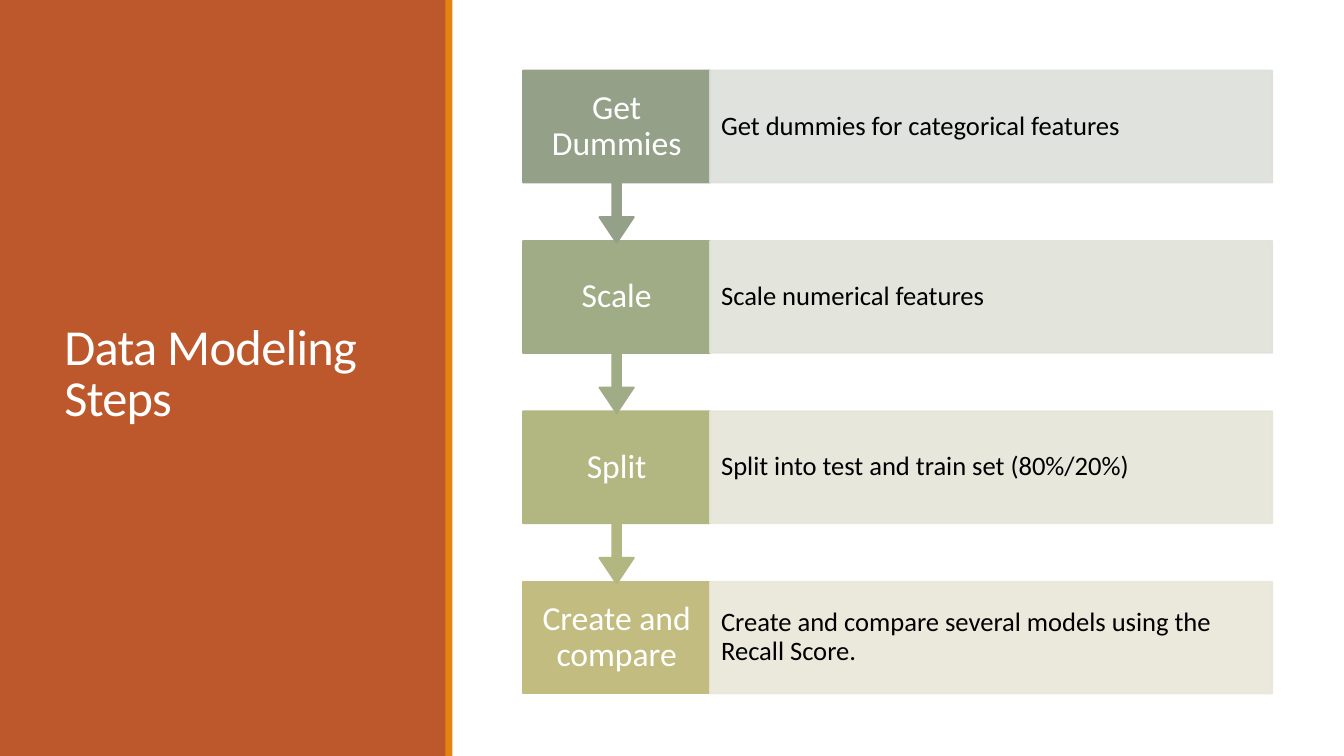
from dataclasses import dataclass

from lxml.etree import SubElement
from pptx import Presentation
from pptx.dml.color import RGBColor
from pptx.enum.shapes import MSO_SHAPE as Shp
from pptx.enum.text import MSO_ANCHOR as Anchor, PP_ALIGN as Align
from pptx.oxml.ns import qn
from pptx.util import Pt

COLORS = {
    "white": "FFFFFF", "black": "000000", "panel": "BD582C", "accent": "E48312",
    "sage": "94A088", "sage_tint": "DCDFDA",
    "moss": "A0AC85", "moss_tint": "E0E3D9",
    "olive": "B2B782", "olive_tint": "E5E6D8",
    "sand": "C2BC80", "sand_tint": "E9E7D8",
}
FONT = "Calibri"
SLIDE_W, SLIDE_H = 960, 540
LABEL_X, LABEL_W = 373.6, 133.8
DETAIL_X, DETAIL_W = 507.2, 401.6
FIRST_Y, PITCH = 50.4, 121.7
BOX_H, CALLOUT_H = 80, 123.1
CALLOUT_ADJ = (0.05, 0.1, 0.15, 0.65)


@dataclass(frozen=True)
class Step:
    label: str
    detail: str
    color: str


@dataclass(frozen=True)
class TextStyle:
    size: float
    color: str
    align: Align
    spacing: float
    inset_x: float
    inset_y: float


STEPS = [
    Step("Get Dummies", "Get dummies for categorical features", "sage"),
    Step("Scale", "Scale numerical features", "moss"),
    Step("Split", "Split into test and train set (80%/20%)", "olive"),
    Step("Create and compare",
         "Create and compare several models using the Recall Score.", "sand"),
]
TITLE = TextStyle(36, "white", Align.LEFT, 0.85, 7.2, 3.6)
LABEL = TextStyle(24, "white", Align.CENTER, 0.9, 9.4, 13.7)
DETAIL = TextStyle(19, "black", Align.LEFT, 0.9, 7.9, 18.7)


def rgb(name: str) -> RGBColor:
    return RGBColor.from_string(COLORS[name])


def add_block(slide, kind: Shp, x: float, y: float, w: float, h: float,
              color: str, outlined: bool = False, opacity: int = 100):
    sp = slide.shapes.add_shape(kind, Pt(x), Pt(y), Pt(w), Pt(h))
    sp.shadow.inherit = False
    sp.fill.solid()
    sp.fill.fore_color.rgb = rgb(color)
    if outlined:
        sp.line.width = Pt(1.25)
        sp.line.color.rgb = rgb(color)
    else:
        sp.line.fill.background()
    if opacity < 100:
        for clr in sp._element.spPr.iter(qn("a:srgbClr")):
            SubElement(clr, qn("a:alpha")).set("val", str(opacity * 1000))
    return sp


def write(sp, text: str, style: TextStyle):
    tf = sp.text_frame
    tf.word_wrap = True
    tf.vertical_anchor = Anchor.MIDDLE
    tf.margin_left = tf.margin_right = Pt(style.inset_x)
    tf.margin_top = tf.margin_bottom = Pt(style.inset_y)
    p = tf.paragraphs[0]
    p.alignment = style.align
    p.line_spacing = style.spacing
    p.font.name = FONT
    p.font.size = Pt(style.size)
    p.font.color.rgb = rgb(style.color)
    r = p.add_run()
    r.text = text
    r.font.name = FONT
    r.font.size = Pt(style.size)
    r.font.color.rgb = rgb(style.color)
    return r


def add_title_panel(slide, title: str) -> None:
    add_block(slide, Shp.RECTANGLE, 0, 0, 319, SLIDE_H, "panel")
    add_block(slide, Shp.RECTANGLE, 318.2, 0, 5, SLIDE_H, "accent")
    box = slide.shapes.add_textbox(Pt(38.9), Pt(41), Pt(242.6), Pt(454.3))
    r = write(box, title, TITLE)
    r._r.get_or_add_rPr().set("spc", "-50")


def add_step(slide, step: Step, y: float, is_last: bool) -> None:
    if is_last:
        label = add_block(slide, Shp.RECTANGLE, LABEL_X, y, LABEL_W, BOX_H,
                          step.color, outlined=True)
    else:
        label = add_block(slide, Shp.DOWN_ARROW_CALLOUT, LABEL_X, y, LABEL_W,
                          CALLOUT_H, step.color, outlined=True)
        for i, value in enumerate(CALLOUT_ADJ):
            label.adjustments[i] = value
    write(label, step.label, LABEL)
    detail = add_block(slide, Shp.RECTANGLE, DETAIL_X, y, DETAIL_W, BOX_H,
                       f"{step.color}_tint", outlined=True, opacity=90)
    write(detail, step.detail, DETAIL)


def main() -> None:
    prs = Presentation()
    prs.slide_width, prs.slide_height = Pt(SLIDE_W), Pt(SLIDE_H)
    slide = prs.slides.add_slide(prs.slide_layouts[6])
    add_title_panel(slide, "Data Modeling Steps")
    last = len(STEPS) - 1
    for i, step in reversed(list(enumerate(STEPS))):
        add_step(slide, step, FIRST_Y + i * PITCH, i == last)
    prs.save("out.pptx")


if __name__ == "__main__":
    main()
